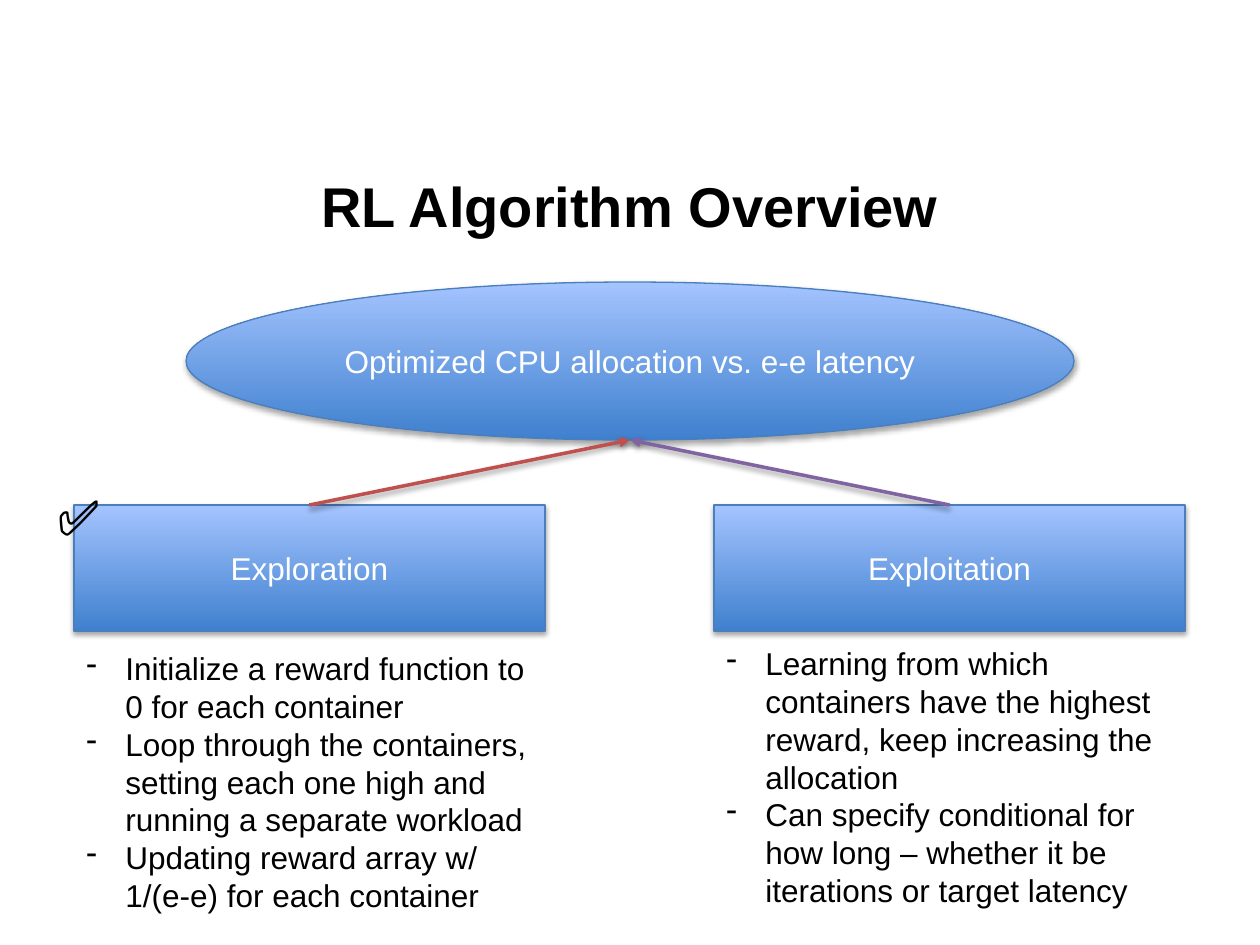
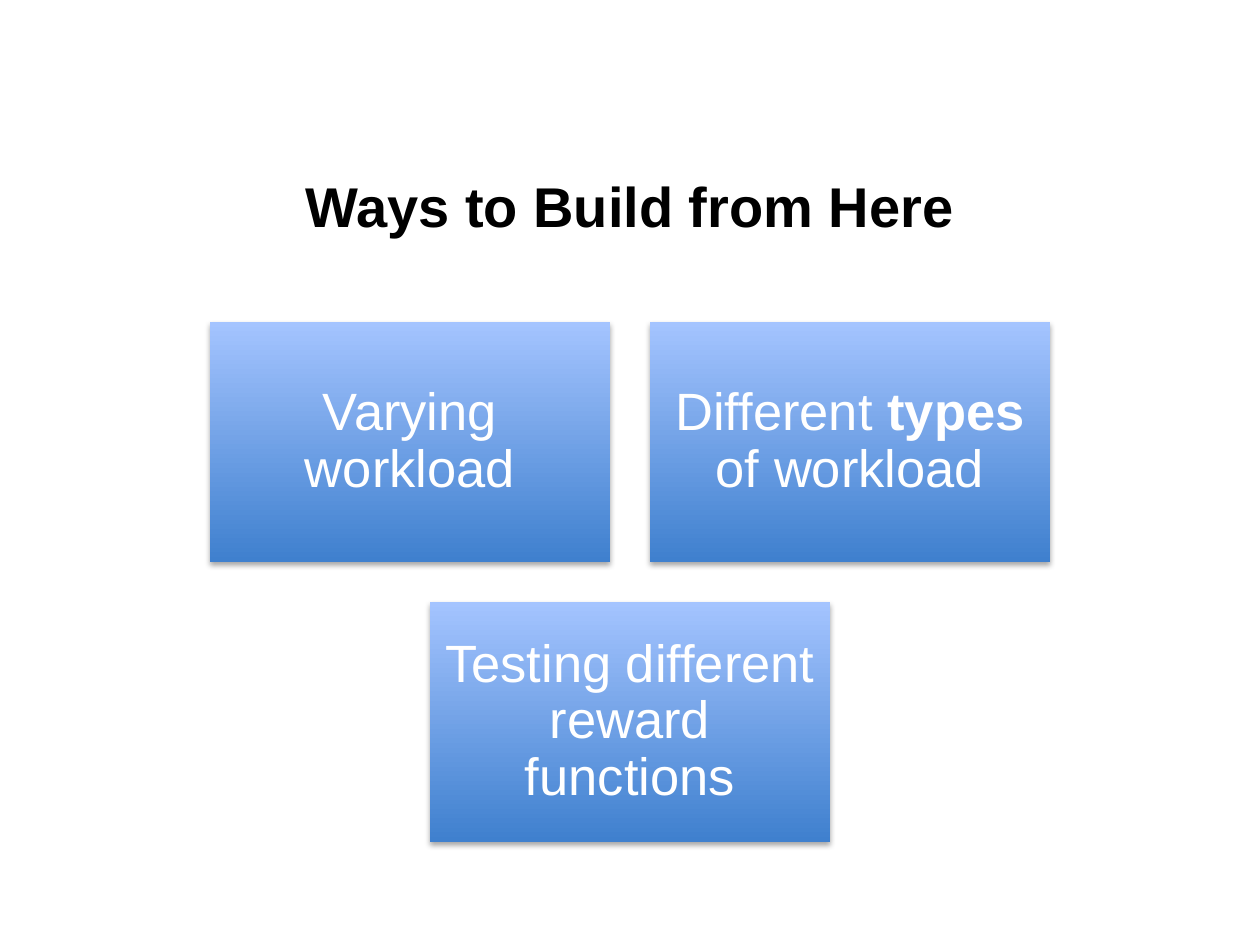
from dataclasses import dataclass
from lxml.etree import SubElement
from pptx import Presentation
from pptx.dml.color import RGBColor as RGB
from pptx.enum.shapes import MSO_CONNECTOR as LINE, MSO_SHAPE as SHAPE
from pptx.enum.text import MSO_ANCHOR as ANCHOR, MSO_AUTO_SIZE as FIT, PP_ALIGN as ALIGN
from pptx.oxml.ns import qn
from pptx.util import Emu, Pt


@dataclass(frozen=True)
class Theme:
    font: str = "Arial"
    symbol_font: str = "Roboto"
    ink: str = "000000"
    paper: str = "FFFFFF"
    fill_bottom: str = "3F80CE"
    fill_top: str = "A4C4FF"
    edge: str = "4B7EBC"
    explore: str = "C0504D"
    exploit: str = "8064A2"
    title_size: int = 32
    card_size: int = 30
    mark_size: int = 28
    body_size: int = 18


theme = Theme()
PX = 914400 / 126
WIDTH, HEIGHT = 1260, 945
INDENT = 39


def cast_shadow(properties, alpha, distance):
    effects = properties.find(qn("a:effectLst"))
    if effects is None:
        effects = SubElement(properties, qn("a:effectLst"))
    outer = SubElement(effects, qn("a:outerShdw"), blurRad="40000", dist=str(distance),
                       dir="5400000", rotWithShape="0")
    color = SubElement(outer, qn("a:srgbClr"), val=theme.ink)
    SubElement(color, qn("a:alpha"), val=str(alpha * 1000))


def write(slide, text, box, preset=None, edge=None, size=theme.body_size, color=theme.ink,
          font=theme.font, bold=False, align=ALIGN.CENTER, anchor=ANCHOR.MIDDLE,
          spacing=None, inset=None, bullet=None, grow=False):
    place = [Emu(round(value * PX)) for value in box]
    if preset is None:
        holder = slide.shapes.add_textbox(*place)
    else:
        holder = slide.shapes.add_shape(preset, *place)
        holder.fill.gradient()
        holder.fill.gradient_angle = 90
        for stop, shade in zip(holder.fill.gradient_stops, (theme.fill_bottom, theme.fill_top)):
            stop.color.rgb = RGB.from_string(shade)
        if edge:
            holder.line.color.rgb = RGB.from_string(edge)
            holder.line.width = Pt(0.75)
        else:
            holder.line.fill.background()
        holder.shadow.inherit = False
        cast_shadow(holder.element.spPr, 35, 23000)
    frame = holder.text_frame
    frame.word_wrap = True
    frame.vertical_anchor = anchor
    frame.auto_size = FIT.SHAPE_TO_FIT_TEXT if grow else FIT.NONE
    if inset:
        frame.margin_left = frame.margin_right = Emu(round(inset * PX))
        frame.margin_top = frame.margin_bottom = Emu(round(inset * PX))
    for index, line in enumerate(text.split("\n")):
        paragraph = frame.add_paragraph() if index else frame.paragraphs[0]
        paragraph.alignment = align
        if spacing:
            paragraph.line_spacing = spacing
        if bullet:
            format_ = paragraph._p.get_or_add_pPr()
            format_.set("marL", str(round(INDENT * PX)))
            format_.set("indent", str(round(-INDENT * PX)))
            SubElement(format_, qn("a:buChar"), char=bullet)
        for part, words in enumerate(line.split("*")):
            run = paragraph.add_run()
            run.text = words
            run.font.name = font
            run.font.size = Pt(size)
            run.font.bold = bold or part % 2 == 1
            run.font.color.rgb = RGB.from_string(color)
    return holder


deck = Presentation()
deck.slide_width, deck.slide_height = Emu(round(WIDTH * PX)), Emu(round(HEIGHT * PX))
slides = []
for title in ("RL Algorithm Overview", "Ways to Build from Here"):
    slide = deck.slides.add_slide(deck.slide_layouts[6])
    write(slide, title, (63, 145, 1134, 111), size=theme.title_size, bold=True, spacing=1.15)
    slides.append(slide)
overview, next_steps = slides

goal = write(overview, "Optimized CPU allocation vs. e-e latency", (186, 282, 888, 158),
             preset=SHAPE.OVAL, edge=theme.edge, color=theme.paper)
goal_x, goal_y = goal.left + goal.width // 2, goal.top + goal.height

phases = (
    ("Exploration", 74, 643, theme.explore,
     "Initialize a reward function to 0 for each container\n"
     "Loop through the containers, setting each one high and running a separate workload\n"
     "Updating reward array w/ 1/(e-e) for each container"),
    ("Exploitation", 714, 638, theme.exploit,
     "Learning from which containers have the highest reward, keep increasing the allocation\n"
     "Can specify conditional for how long – whether it be iterations or target latency"),
)
for phase, left, steps_top, arrow_color, steps in phases:
    heading = write(overview, phase, (left, 505, 471, 126), preset=SHAPE.RECTANGLE,
                    edge=theme.edge, color=theme.paper)
    arrow = overview.shapes.add_connector(LINE.STRAIGHT, goal_x, heading.top, goal_x, goal_y)
    arrow.begin_connect(heading, 0)
    arrow.line.color.rgb = RGB.from_string(arrow_color)
    arrow.line.width = Pt(2)
    SubElement(arrow.line._get_or_add_ln(), qn("a:tailEnd"), type="triangle")
    cast_shadow(arrow._element.spPr, 38, 20000)
    write(overview, steps, (left, steps_top, 471, 280), align=ALIGN.LEFT, anchor=ANCHOR.TOP,
          bullet="-", grow=True)
write(overview, "✅", (45, 480, 96, 72), size=theme.mark_size, font=theme.symbol_font,
      align=ALIGN.LEFT, anchor=ANCHOR.TOP, grow=True)

CARD_W, CARD_H, GAP, CARDS_TOP = 400, 240, 40, 322
card_rows = (("Varying workload", "Different *types *of workload"),
             ("Testing different reward functions",))
for row, cards in enumerate(card_rows):
    row_left = (WIDTH - len(cards) * (CARD_W + GAP) + GAP) // 2
    for column, idea in enumerate(cards):
        write(next_steps, idea,
              (row_left + column * (CARD_W + GAP), CARDS_TOP + row * (CARD_H + GAP), CARD_W, CARD_H),
              preset=SHAPE.RECTANGLE, size=theme.card_size, color=theme.paper,
              spacing=0.9, inset=15)

deck.save("out.pptx")
